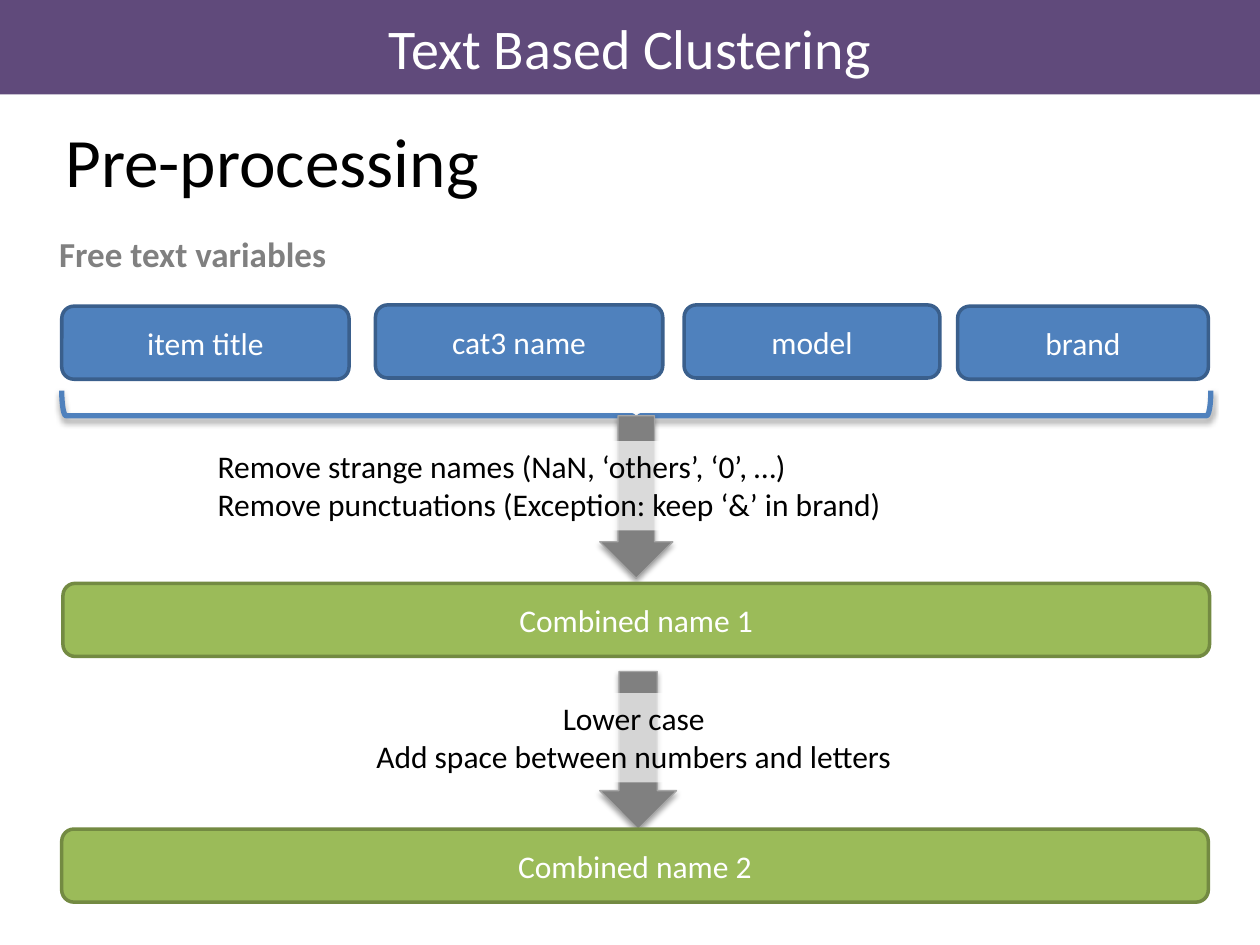
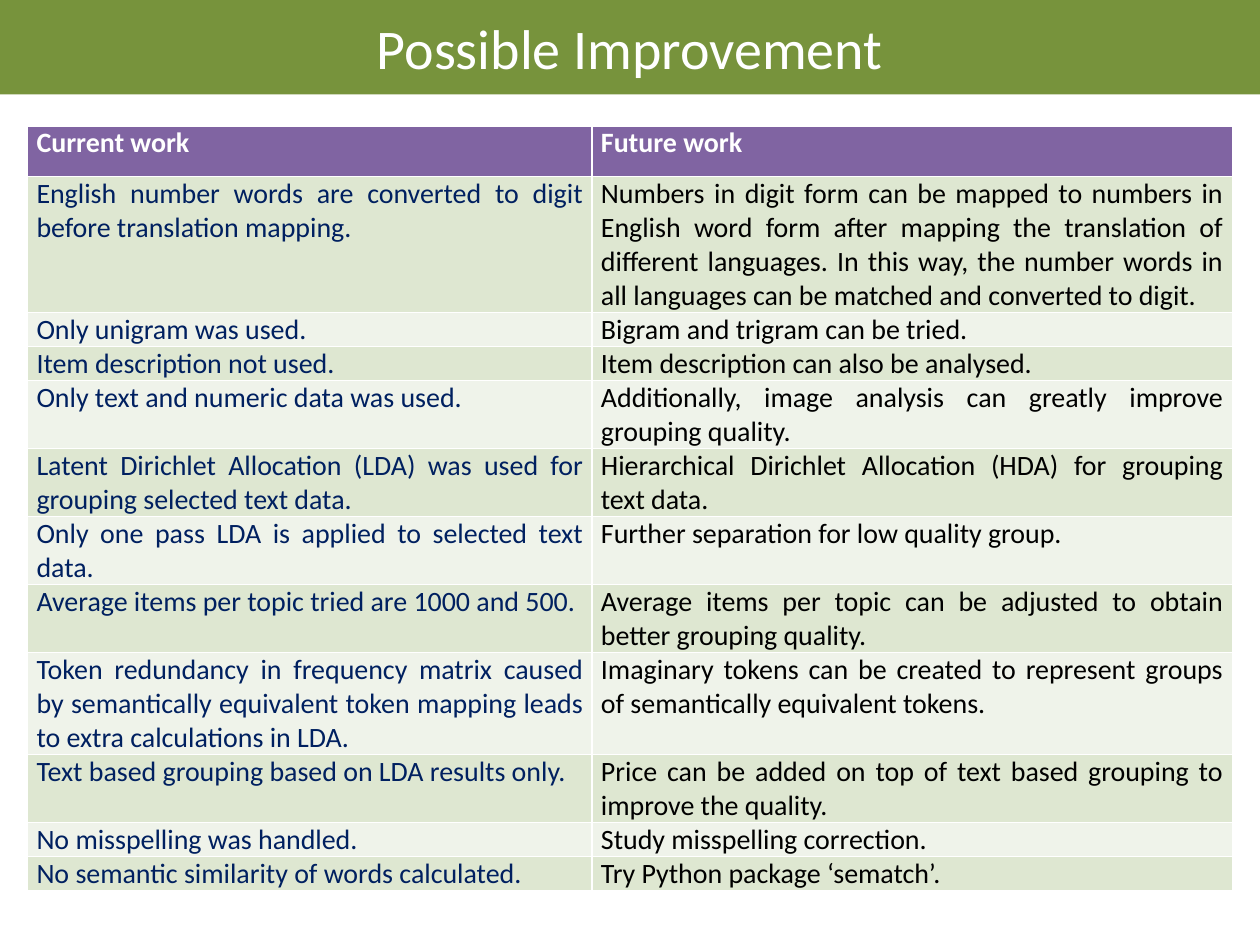
from lxml import etree
from pptx import Presentation
from pptx import util as u
from pptx.dml import color as dml_color
from pptx.enum import shapes, text
from pptx.oxml import ns

FONT = "Calibri"
COLORS = {
    "white": "FFFFFF", "black": "000000", "gray": "808080", "arrow edge": "A6A6A6",
    "purple band": "604A7B", "green band": "77933C",
    "blue": "4F81BD", "blue edge": "3A5F8C", "green": "9BBB59", "green edge": "738A42",
    "header": "8064A2", "row dark": "DEE7D1", "row light": "EFF3EA", "navy": "002060",
}
KIND = shapes.MSO_SHAPE
ALIGN = text.PP_ALIGN
ANCHOR = text.MSO_ANCHOR


def write(frame, lines, size, color, align=ALIGN.CENTER, bold=False, anchor=ANCHOR.MIDDLE):
    frame.word_wrap = True
    frame.vertical_anchor = anchor
    for index, line in enumerate(lines):
        paragraph = frame.add_paragraph() if index else frame.paragraphs[0]
        paragraph.text = line
        paragraph.alignment = align
        paragraph.font.name = FONT
        paragraph.font.size = u.Pt(size)
        paragraph.font.bold = bold
        paragraph.font.color.rgb = dml_color.RGBColor.from_string(COLORS[color])


def draw(slide, kind, box, fill=None, line=None, width=0, shadow=False):
    shape = slide.shapes.add_shape(kind, *map(u.Inches, box))
    shape.shadow.inherit = False
    if fill:
        shape.fill.solid()
        shape.fill.fore_color.rgb = dml_color.RGBColor.from_string(COLORS[fill])
    else:
        shape.fill.background()
    if line:
        shape.line.color.rgb = dml_color.RGBColor.from_string(COLORS[line])
        shape.line.width = u.Pt(width)
    else:
        shape.line.fill.background()
    if shadow:
        effects = shape.element.spPr.find(ns.qn("a:effectLst"))
        outer = etree.SubElement(effects, ns.qn("a:outerShdw"), blurRad=str(u.Pt(3.1)),
                                 dist=str(u.Pt(1.8)), dir="5400000", rotWithShape="0")
        tint = etree.SubElement(outer, ns.qn("a:srgbClr"), val=COLORS["black"])
        etree.SubElement(tint, ns.qn("a:alpha"), val="35000")
    return shape


presentation = Presentation()
presentation.slide_width = u.Inches(10)
presentation.slide_height = u.Inches(7.5)

slides = []
for title, band_color in [("Text Based Clustering", "purple band"),
                          ("Possible Improvement", "green band")]:
    slide = presentation.slides.add_slide(presentation.slide_layouts[6])
    band = draw(slide, KIND.RECTANGLE, (0, 0, 10, 0.75), band_color)
    write(band.text_frame, [title], 32, "white")
    slides.append(slide)
clustering, improvement = slides

for label, box, size, color, bold, anchor in [
    ("Pre-processing", (0.42, 1, 3.67, 0.53), 39.6, "black", False, ANCHOR.MIDDLE),
    ("Free text variables", (0.37, 1.8, 2.51, 0.44), 20, "gray", True, ANCHOR.TOP),
]:
    heading = clustering.shapes.add_textbox(*map(u.Inches, box))
    write(heading.text_frame, [label], size, color, ALIGN.LEFT, bold, anchor)

brace = draw(clustering, KIND.RIGHT_BRACE, (4.85, -1.26, 0.4, 9.12), None, "blue", 3, True)
brace.rotation = 90

for box in [(4.76, 3.3, 0.58, 1.29), (4.76, 5.33, 0.61, 1.25)]:
    draw(clustering, KIND.DOWN_ARROW, box, "gray", "arrow edge", 0.75, True)

for label, left, top, width, fill in [
    ("item title", 0.49, 2.43, 2.28, "blue"),
    ("cat3 name", 2.98, 2.42, 2.28, "blue"),
    ("model", 5.43, 2.42, 2.03, "blue"),
    ("brand", 7.6, 2.43, 1.99, "blue"),
    ("Combined name 1", 0.5, 4.63, 9.1, "green"),
    ("Combined name 2", 0.49, 6.58, 9.1, "green"),
]:
    name_box = draw(clustering, KIND.ROUNDED_RECTANGLE, (left, top, width, 0.58),
                    fill, f"{fill} edge", 2)
    write(name_box.text_frame, [label], 18, "white")

for lines, box, align, opacity in [
    (["Remove strange names (NaN, ‘others’, ‘0’, …)",
      "Remove punctuations (Exception: keep ‘&’ in brand)"],
     (1.63, 3.5, 7.43, 0.71), ALIGN.LEFT, 71),
    (["Lower case", "Add space between numbers and letters"],
     (1, 5.5, 8.06, 0.71), ALIGN.CENTER, 67),
]:
    step = draw(clustering, KIND.RECTANGLE, box, "white")
    tint = step.element.spPr.find(ns.qn("a:solidFill"))[0]
    etree.SubElement(tint, ns.qn("a:alpha"), val=str(opacity * 1000))
    write(step.text_frame, lines, 18, "black", align, anchor=ANCHOR.TOP)

LINE_HEIGHT = 0.27
comparison = [
    ("Current work", "Future work", 0.4),
    ("English number words are converted to digit before translation mapping.",
     "Numbers in digit form can be mapped to numbers in English word form after mapping "
     "the translation of different languages. In this way, the number words in all "
     "languages can be matched and converted to digit.", 4 * LINE_HEIGHT),
    ("Only unigram was used.", "Bigram and trigram can be tried.", LINE_HEIGHT),
    ("Item description not used.", "Item description can also be analysed.", LINE_HEIGHT),
    ("Only text and numeric data was used.",
     "Additionally, image analysis can greatly improve grouping quality.", 2 * LINE_HEIGHT),
    ("Latent Dirichlet Allocation (LDA) was used for grouping selected text data.",
     "Hierarchical Dirichlet Allocation (HDA) for grouping text data.", 2 * LINE_HEIGHT),
    ("Only one pass LDA is applied to selected text data.",
     "Further separation for low quality group.", 2 * LINE_HEIGHT),
    ("Average items per topic tried are 1000 and 500.",
     "Average items per topic can be adjusted to obtain better grouping quality.",
     2 * LINE_HEIGHT),
    ("Token redundancy in frequency matrix caused by semantically equivalent token "
     "mapping leads to extra calculations in LDA.",
     "Imaginary tokens can be created to represent groups of semantically equivalent "
     "tokens.", 3 * LINE_HEIGHT),
    ("Text based grouping based on LDA results only.",
     "Price can be added on top of text based grouping to improve the quality.",
     2 * LINE_HEIGHT),
    ("No misspelling was handled.", "Study misspelling correction.", LINE_HEIGHT),
    ("No semantic similarity of words calculated.", "Try Python package ‘sematch’.",
     LINE_HEIGHT),
]
table = improvement.shapes.add_table(
    len(comparison), 2, u.Inches(0.22), u.Inches(1), u.Inches(9.56),
    u.Inches(sum(row[2] for row in comparison))).table
for column, width in zip(table.columns, (4.48, 5.08)):
    column.width = u.Inches(width)
for row_index, (current, future, height) in enumerate(comparison):
    table.rows[row_index].height = u.Inches(height)
    is_header = row_index == 0
    fill = "header" if is_header else ("row light", "row dark")[row_index % 2]
    for column_index, (words, color) in enumerate([(current, "navy"), (future, "black")]):
        cell = table.cell(row_index, column_index)
        cell.fill.solid()
        cell.fill.fore_color.rgb = dml_color.RGBColor.from_string(COLORS[fill])
        cell.margin_left = cell.margin_right = u.Inches(0.07)
        cell.margin_top = cell.margin_bottom = 0
        cell.vertical_anchor = ANCHOR.TOP
        write(cell.text_frame, [words], 16, "white" if is_header else color,
              ALIGN.JUSTIFY, is_header, ANCHOR.TOP)

presentation.save("out.pptx")
